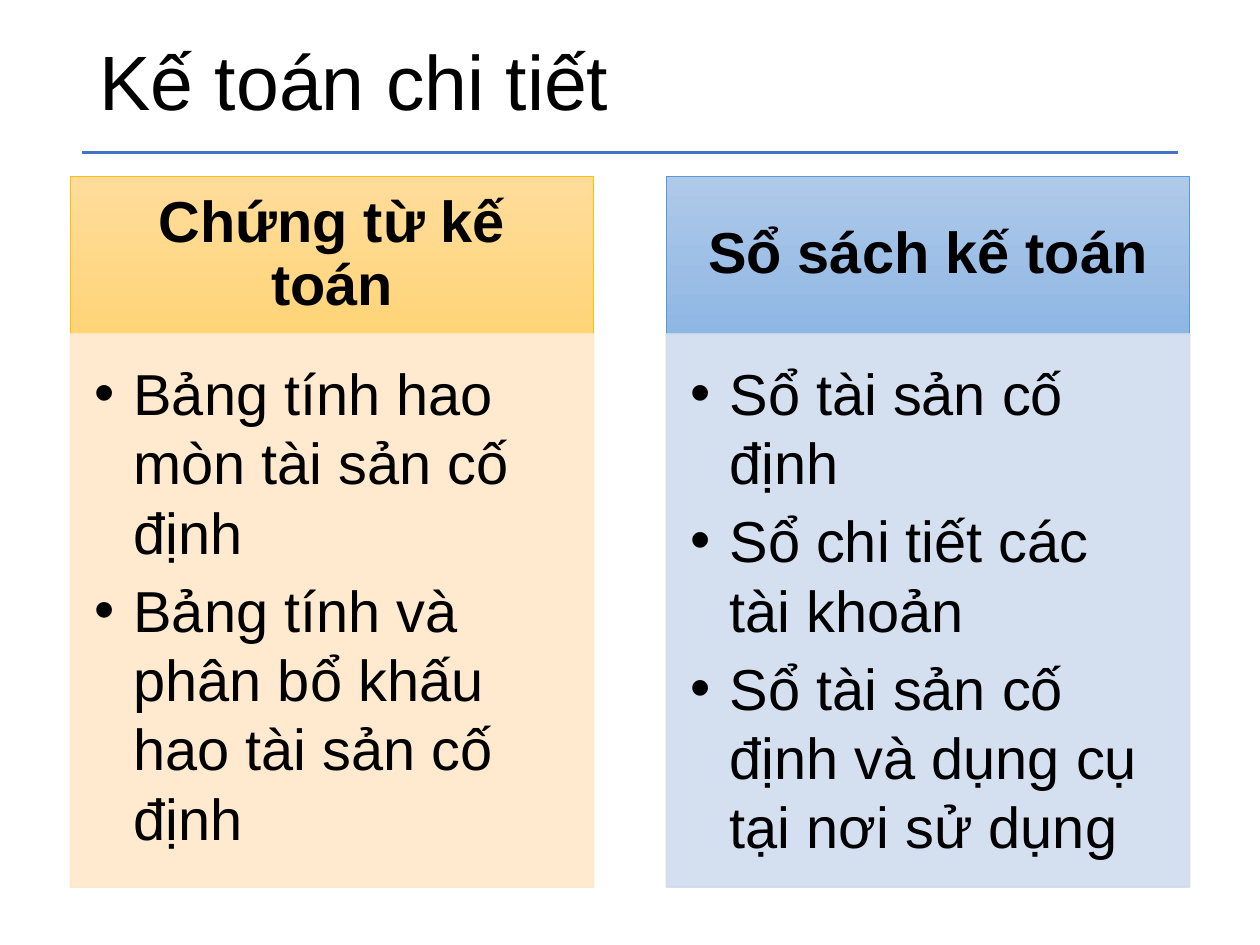
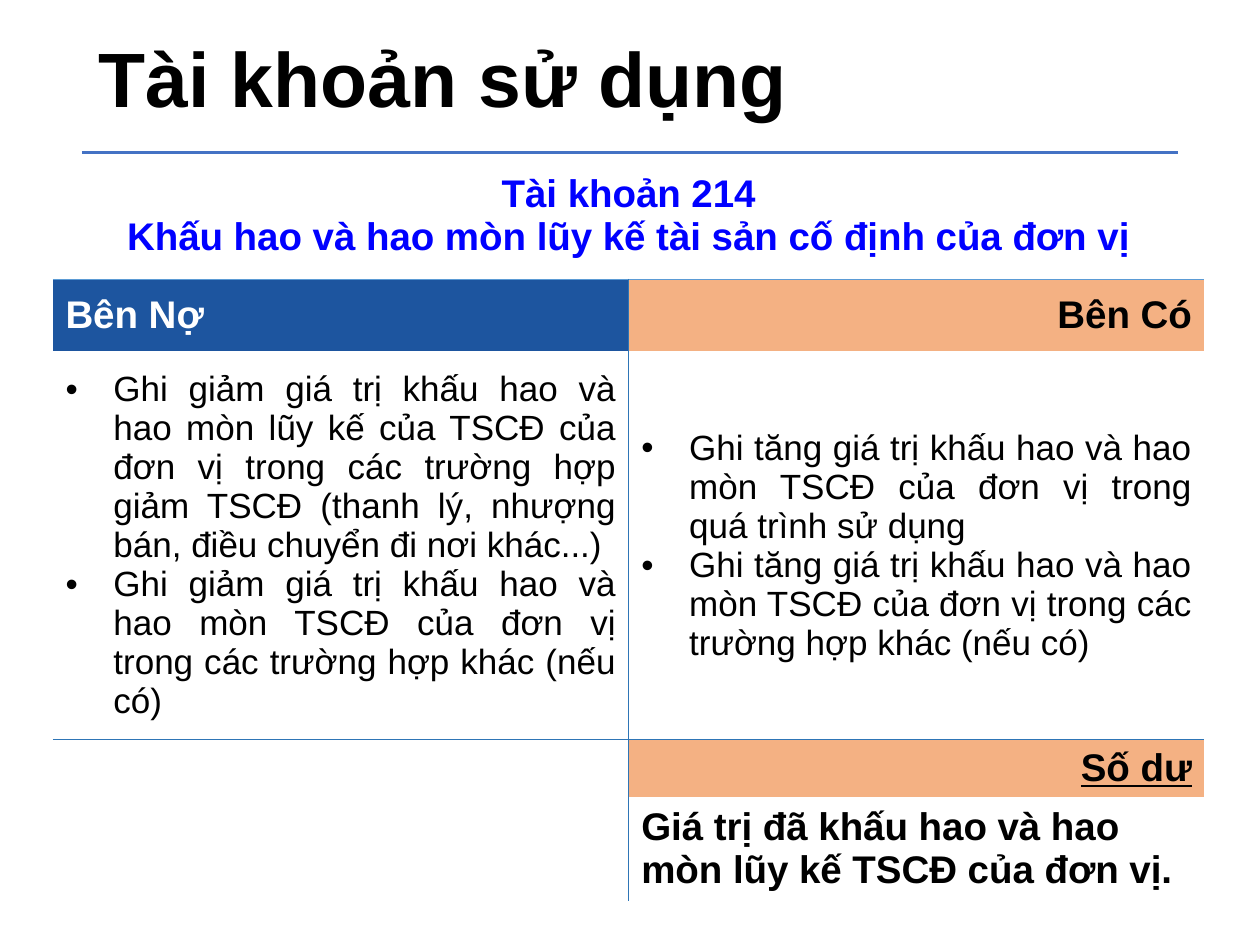
import pptx
import pptx.util
import pptx.dml.color
import pptx.enum.shapes
import pptx.enum.text
import pptx.oxml
import pptx.oxml.ns
import lxml.etree

Inches = pptx.util.Inches
Align = pptx.enum.text.PP_ALIGN
Anchor = pptx.enum.text.MSO_ANCHOR
FONT = "Arial"
COLOURS = {
    "text": "000000",
    "white": "FFFFFF",
    "rule": "4472C4",
    "heading": "0000FF",
    "debit": "1D559F",
    "credit": "F4B183",
    "border": "2E75B6",
    "border_top": "5B9BD5",
    "gold_top": "FFDC9B",
    "gold_bottom": "FFD478",
    "gold_line": "FFC000",
    "gold_body": "FFE8CA",
    "blue_top": "AFC9E9",
    "blue_bottom": "8FB7E4",
    "blue_line": "5999D5",
    "blue_body": "D0DCEE",
}


def colour(name):
    """Return a named colour as an RGB value."""
    return pptx.dml.color.RGBColor.from_string(COLOURS[name])


def add_child(parent, tag, **attributes):
    """Append a drawing element to a parent element."""
    element = lxml.etree.SubElement(parent, pptx.oxml.ns.qn(tag))
    for key, value in attributes.items():
        element.set(key, str(value))
    return element


class Slides:
    """Hold the deck, the current page and the shared style."""

    def __init__(self):
        """Start a 10 by 7.5 inch deck."""
        self.deck = pptx.Presentation()
        self.deck.slide_width, self.deck.slide_height = Inches(10), Inches(7.5)
        self.page = None

    def start(self, title, left, top, width, height, bold=False):
        """Open a page with its title and the rule under it."""
        self.page = self.deck.slides.add_slide(self.deck.slide_layouts[5])
        box = self.page.shapes.title
        box.left, box.top, box.width, box.height = map(Inches, (left, top, width, height))
        box.text_frame.vertical_anchor = Anchor.MIDDLE
        self.add_text(box.text_frame, [title], 44, bold=bold, line_spacing=0.9)
        self.rule(0.65, 9.35, 1.21)

    def rule(self, left, right, top):
        """Draw a horizontal line."""
        line = self.page.shapes.add_connector(
            pptx.enum.shapes.MSO_CONNECTOR.STRAIGHT,
            Inches(left), Inches(top), Inches(right), Inches(top))
        line.line.color.rgb = colour("rule")
        line.line.width = pptx.util.Pt(1.5)
        add_child(line._element.spPr, "a:effectLst")

    def add_text(self, frame, texts, size, ink="text", align=Align.LEFT, bold=False,
                 underline=False, indent=0, gap=0, line_spacing=None):
        """Fill a text frame, with bullets when an indent is given."""
        frame.word_wrap = True
        for number, text in enumerate(texts):
            para = frame.add_paragraph() if number else frame.paragraphs[0]
            para.alignment = align
            if line_spacing:
                para.line_spacing = line_spacing
            if number and gap:
                para.space_before = pptx.util.Pt(gap)
            if indent:
                properties = para._p.get_or_add_pPr()
                properties.set("marL", str(Inches(indent)))
                properties.set("indent", str(-Inches(indent)))
                add_child(properties, "a:buFont", typeface=FONT)
                add_child(properties, "a:buChar", char="•")
            span = para.add_run()
            span.text = text
            span.font.name = FONT
            span.font.size = pptx.util.Pt(size)
            span.font.bold = bold
            span.font.underline = underline
            span.font.color.rgb = colour(ink)

    def panel(self, left, top, width, height, line, margins, anchor):
        """Add a rectangle and return it, ready for fill and text."""
        box = self.page.shapes.add_shape(
            pptx.enum.shapes.MSO_SHAPE.RECTANGLE, *map(Inches, (left, top, width, height)))
        box.shadow.inherit = False
        box.line.color.rgb = colour(line)
        box.line.width = pptx.util.Pt(1)
        frame = box.text_frame
        frame.margin_left, frame.margin_top, frame.margin_right, frame.margin_bottom = map(Inches, margins)
        frame.vertical_anchor = anchor
        return box

    def column(self, left, hue, heading, items):
        """Add a gradient heading above a tinted list."""
        width = 4.15
        head = self.panel(left, 1.4, width, 1.25, hue + "_line",
                          (0.26, 0.15, 0.26, 0.15), Anchor.MIDDLE)
        head.fill.gradient()
        head.fill.gradient_angle = 270
        for stop, end in zip(head.fill.gradient_stops, ("_top", "_bottom")):
            stop.color.rgb = colour(hue + end)
        self.add_text(head.text_frame, [heading], 33, align=Align.CENTER, bold=True, line_spacing=0.9)

        body = self.panel(left, 2.65, width, 4.39, hue + "_body",
                          (0.19, 0.19, 0.26, 0.29), Anchor.TOP)
        body.fill.solid()
        body.fill.fore_color.rgb = colour(hue + "_body")
        for tint in body._element.spPr.iter(pptx.oxml.ns.qn("a:srgbClr")):
            add_child(tint, "a:alpha", val=90000)
        self.add_text(body.text_frame, items, 33, indent=0.31, gap=5)

    def table(self, left, top, columns, rows):
        """Add a plain table and return it."""
        frame = self.page.shapes.add_table(
            len(rows), len(columns), Inches(left), Inches(top), Inches(sum(columns)), Inches(sum(rows)))
        table = frame.table
        table.first_row = table.horz_banding = False
        for column, width in zip(table.columns, columns):
            column.width = Inches(width)
        for row, height in zip(table.rows, rows):
            row.height = Inches(height)
        return table

    def cell(self, cell, texts=(), fill=None, borders=None, **style):
        """Set the borders, fill and text of a cell."""
        properties = cell._tc.get_or_add_tcPr()
        for side in "LRTB":
            name = (borders or {}).get(side)
            edge = add_child(properties, "a:ln" + side, w=pptx.util.Pt(1))
            if name:
                add_child(add_child(edge, "a:solidFill"), "a:srgbClr", val=COLOURS[name])
            else:
                add_child(edge, "a:noFill")
        if fill:
            cell.fill.solid()
            cell.fill.fore_color.rgb = colour(fill)
        else:
            cell.fill.background()
        cell.vertical_anchor = Anchor.MIDDLE
        if texts:
            self.add_text(cell.text_frame, texts, **style)


def main():
    """Build both pages and save the deck."""
    slides = Slides()

    slides.start("Kế toán chi tiết", 0.69, 0.15, 8.62, 1.06)
    slides.column(0.56, "gold", "Chứng từ kế toán", [
        "Bảng tính hao mòn tài sản cố định",
        "Bảng tính và phân bổ khấu hao tài sản cố định"])
    slides.column(5.29, "blue", "Sổ sách kế toán", [
        "Sổ tài sản cố định",
        "Sổ chi tiết các tài khoản",
        "Sổ tài sản cố định và dụng cụ tại nơi sử dụng"])

    slides.start("Tài khoản sử dụng", 0.68, 0.11, 8.62, 1.09, bold=True)
    account = slides.table(0.42, 1.2, [4.57, 4.57], [1.02, 0.57, 3.08, 0.46, 0.82])
    account.cell(0, 0).merge(account.cell(0, 1))
    strong = {"size": 22, "bold": True}
    listing = {"size": 20, "align": Align.JUSTIFY, "indent": 0.38}
    top, middle, bottom = {"T": "border_top"}, {"B": "border"}, {"T": "border"}
    debit_side, credit_side = {"R": "border"}, {"L": "border"}

    for column in range(2):
        slides.cell(account.cell(0, column), borders={"B": "border_top"})
    slides.add_text(account.cell(0, 0).text_frame, [
        "Tài khoản 214",
        "Khấu hao và hao mòn lũy kế tài sản cố định của đơn vị"],
        ink="heading", align=Align.CENTER, **strong)

    slides.cell(account.cell(1, 0), ["Bên Nợ"], "debit", top | debit_side, ink="white", **strong)
    slides.cell(account.cell(1, 1), ["Bên Có"], "credit", top | credit_side,
                align=Align.RIGHT, **strong)
    slides.cell(account.cell(2, 0), [
        "Ghi giảm giá trị khấu hao và hao mòn lũy kế của TSCĐ của đơn vị trong các trường hợp "
        "giảm TSCĐ (thanh lý, nhượng bán, điều chuyển đi nơi khác...)",
        "Ghi giảm giá trị khấu hao và hao mòn TSCĐ của đơn vị trong các trường hợp khác (nếu có)"],
        borders=middle | debit_side, **listing)
    slides.cell(account.cell(2, 1), [
        "Ghi tăng giá trị khấu hao và hao mòn TSCĐ của đơn vị trong quá trình sử dụng",
        "Ghi tăng giá trị khấu hao và hao mòn TSCĐ của đơn vị trong các trường hợp khác (nếu có)"],
        borders=middle | credit_side, **listing)
    slides.cell(account.cell(3, 0), borders=bottom | debit_side)
    slides.cell(account.cell(3, 1), ["Số dư"], "credit", bottom | credit_side,
                align=Align.RIGHT, underline=True, **strong)
    slides.cell(account.cell(4, 0), borders=debit_side)
    slides.cell(account.cell(4, 1), ["Giá trị đã khấu hao và hao mòn lũy kế TSCĐ của đơn vị."],
                borders=credit_side, **strong)

    slides.deck.save("out.pptx")


if __name__ == "__main__":
    main()
